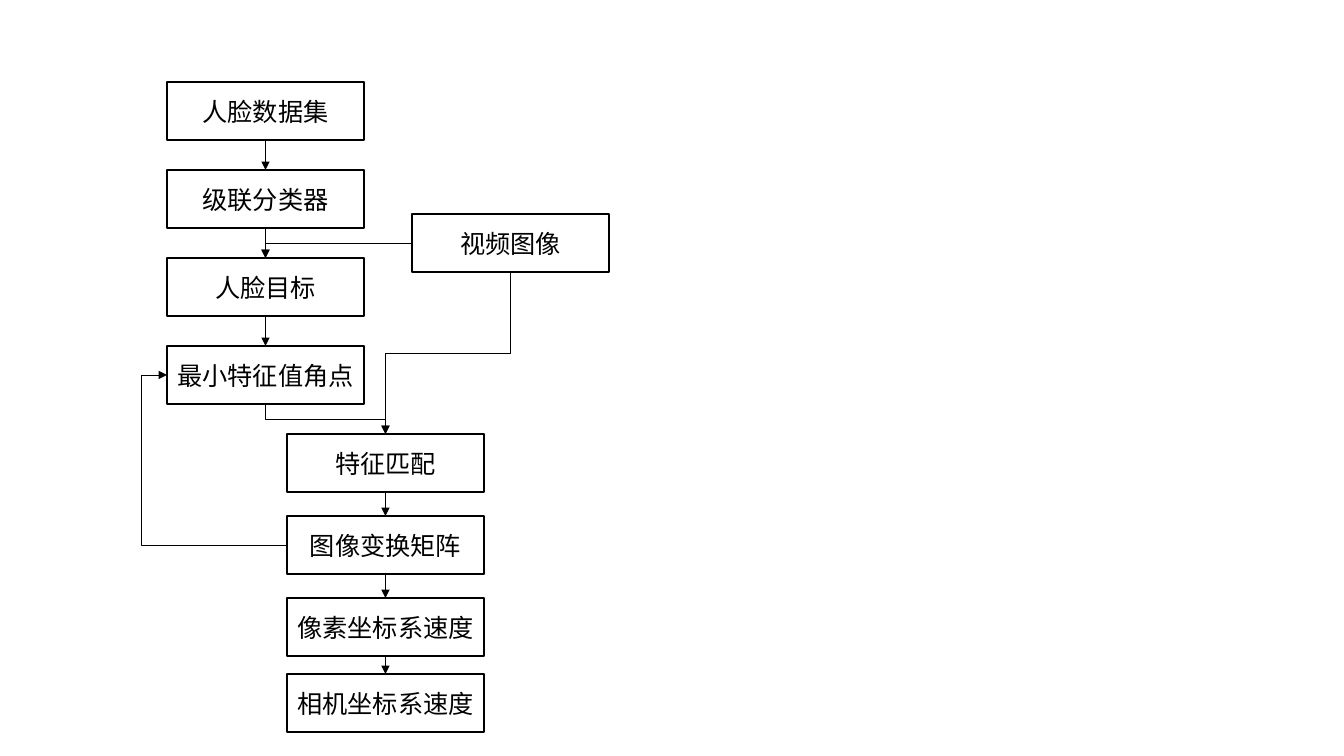
"""Build a flowchart slide for estimating speed from tracked face features."""
import dataclasses
import math

import lxml.etree
import pptx
import pptx.dml.color
import pptx.enum.shapes
import pptx.enum.text
import pptx.oxml.ns
import pptx.util

EMU_PER_PIXEL = 914400 / 100.8
TOP, LEFT, BOTTOM, RIGHT = range(4)
BOX_WIDTH, BOX_HEIGHT = 197, 58
DETECTION_LEFT, MATCHING_LEFT, VIDEO_LEFT = 167, 287, 412
DETECTION_TOP, DETECTION_STEP = 82, 88
DETECTION_STEPS = ("人脸数据集", "级联分类器", "人脸目标", "最小特征值角点")
MATCHING_STEPS = (
    ("特征匹配", 434),
    ("图像变换矩阵", 516),
    ("像素坐标系速度", 598),
    ("相机坐标系速度", 674),
)


@dataclasses.dataclass(frozen=True)
class Theme:
    """Colours, font and sizes of the flowchart."""

    ink: pptx.dml.color.RGBColor = pptx.dml.color.RGBColor(0, 0, 0)
    paper: pptx.dml.color.RGBColor = pptx.dml.color.RGBColor(255, 255, 255)
    font: str = "Noto Sans CJK SC"
    text_size: float = 18
    box_line: float = 1
    arrow_line: float = 0.5


THEME = Theme()


def pixels(count):
    """Turn whole pixels into EMU."""
    return pptx.util.Emu(round(count * EMU_PER_PIXEL))


def add_child(parent, tag, **attributes):
    """Append a DrawingML element to a parent."""
    return lxml.etree.SubElement(parent, pptx.oxml.ns.qn(tag), **attributes)


def add_box(slide, text, left, top):
    """Draw one labelled step."""
    shape = slide.shapes.add_shape(
        pptx.enum.shapes.MSO_SHAPE.RECTANGLE,
        *map(pixels, (left, top, BOX_WIDTH, BOX_HEIGHT)),
    )
    shape.shadow.inherit = False
    shape.fill.solid()
    shape.fill.fore_color.rgb = THEME.paper
    shape.line.color.rgb = THEME.ink
    shape.line.width = pptx.util.Pt(THEME.box_line)
    text_frame = shape.text_frame
    text_frame.text = text
    text_frame.word_wrap = False
    text_frame.vertical_anchor = pptx.enum.text.MSO_ANCHOR.MIDDLE
    paragraph = text_frame.paragraphs[0]
    paragraph.alignment = pptx.enum.text.PP_ALIGN.CENTER
    font = paragraph.runs[0].font
    font.name = THEME.font
    font.size = pptx.util.Pt(THEME.text_size)
    font.color.rgb = THEME.ink
    add_child(paragraph.runs[0].font._element, "a:ea", typeface=THEME.font)
    return shape


def turn_connector(connector, degrees):
    """Rotate a connector's route while its two ends stay in place."""
    center_x = (connector.begin_x + connector.end_x) / 2
    center_y = (connector.begin_y + connector.end_y) / 2
    offset_x, offset_y = connector.begin_x - center_x, connector.begin_y - center_y
    cosine = round(math.cos(math.radians(degrees)))
    sine = round(math.sin(math.radians(degrees)))
    turned_x = offset_x * cosine + offset_y * sine
    turned_y = offset_y * cosine - offset_x * sine
    connector.begin_x, connector.end_x = round(center_x + turned_x), round(center_x - turned_x)
    connector.begin_y, connector.end_y = round(center_y + turned_y), round(center_y - turned_y)
    connector.element.spPr.find(pptx.oxml.ns.qn("a:xfrm")).set("rot", str(degrees * 60000))


def add_arrow(slide, source, source_side, target, target_side, route="straightConnector1",
              degrees=0, bend=None):
    """Join two boxes with an arrow along the given route."""
    connector = slide.shapes.add_connector(
        pptx.enum.shapes.MSO_CONNECTOR.STRAIGHT, 0, 0, 0, 0)
    connector.begin_connect(source, source_side)
    connector.end_connect(target, target_side)
    if degrees:
        turn_connector(connector, degrees)
    properties = connector.element.spPr
    geometry = properties.find(pptx.oxml.ns.qn("a:prstGeom"))
    geometry.set("prst", route)
    if bend is not None:
        adjustments = geometry.find(pptx.oxml.ns.qn("a:avLst"))
        add_child(adjustments, "a:gd", name="adj1", fmla=f"val {round(bend * 100000)}")
    connector.line.color.rgb = THEME.ink
    connector.line.width = pptx.util.Pt(THEME.arrow_line)
    add_child(properties.find(pptx.oxml.ns.qn("a:ln")), "a:tailEnd", type="triangle")
    add_child(properties, "a:effectLst")


def add_chain(slide, boxes):
    """Join each box to the one below it."""
    for upper, lower in zip(boxes, boxes[1:]):
        add_arrow(slide, upper, BOTTOM, lower, TOP)


def main():
    """Build and save the slide."""
    presentation = pptx.Presentation()
    presentation.slide_width = pixels(1344)
    presentation.slide_height = pixels(756)
    slide = presentation.slides.add_slide(presentation.slide_layouts[6])
    detection = [
        add_box(slide, text, DETECTION_LEFT, DETECTION_TOP + index * DETECTION_STEP)
        for index, text in enumerate(DETECTION_STEPS)
    ]
    video = add_box(slide, "视频图像", VIDEO_LEFT, 214)
    matching = [add_box(slide, text, MATCHING_LEFT, top) for text, top in MATCHING_STEPS]
    add_chain(slide, detection)
    add_chain(slide, matching)
    face_target, corners = detection[2:]
    feature_match, transform = matching[:2]
    add_arrow(slide, video, LEFT, face_target, TOP, "bentConnector2", 180)
    add_arrow(slide, corners, BOTTOM, feature_match, TOP, "bentConnector3", 270)
    add_arrow(slide, video, BOTTOM, feature_match, TOP, "bentConnector3", 90)
    add_arrow(slide, transform, LEFT, corners, LEFT, "bentConnector3", 180, 1.21)
    presentation.save("out.pptx")


if __name__ == "__main__":
    main()
